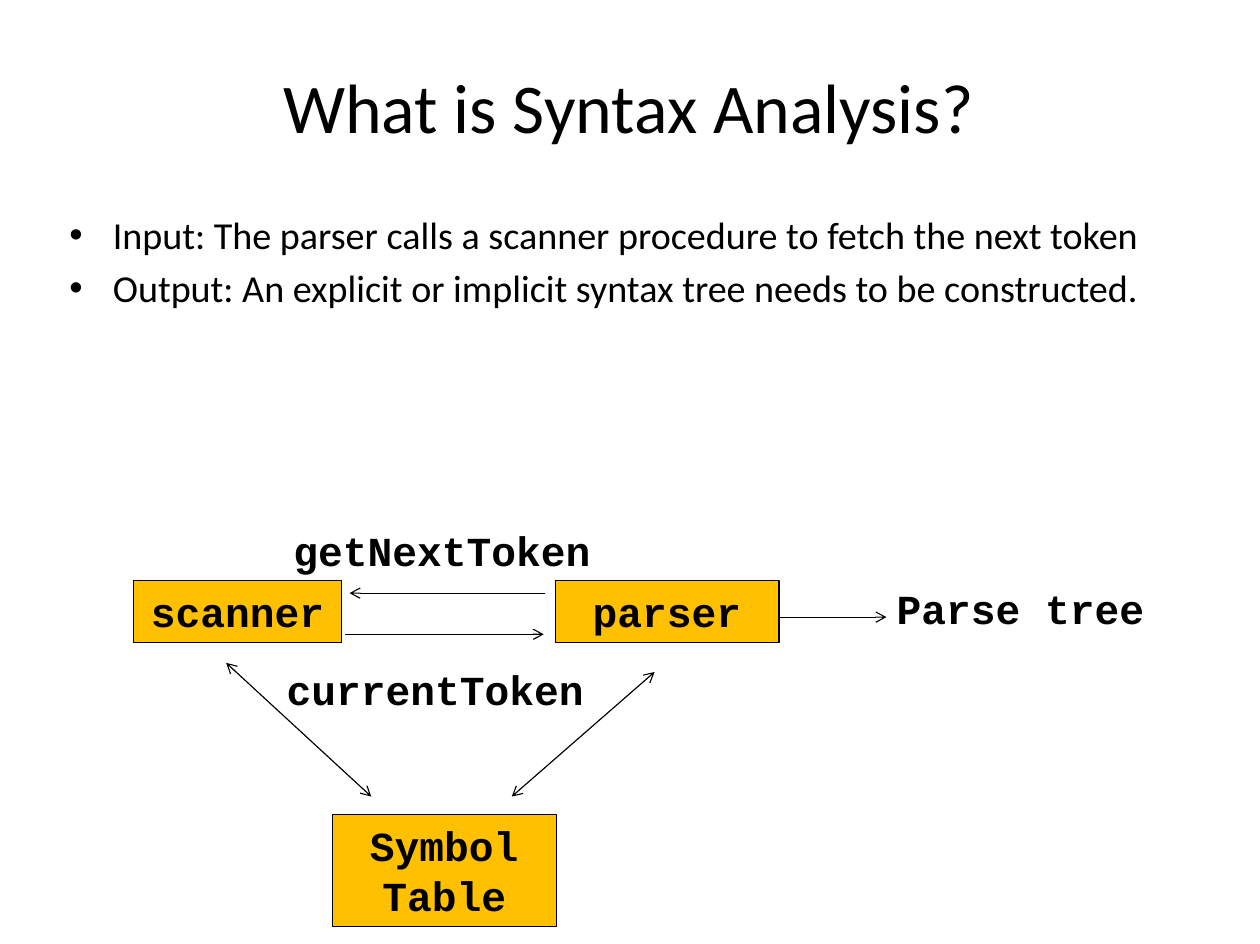
from lxml.etree import SubElement
from pptx import Presentation
from pptx.dml.color import RGBColor
from pptx.enum.shapes import MSO_CONNECTOR, MSO_SHAPE
from pptx.enum.text import MSO_ANCHOR, PP_ALIGN
from pptx.oxml.ns import qn
from pptx.util import Inches, Pt

COLORS = {"ink": "000000", "component": "FFC000", "background": "FFFFFF"}
TEXT_FONT = "Calibri"
CODE_FONT = "Courier New"

BULLETS = [
    "Input: The parser calls a scanner procedure to fetch the next token",
    "Output: An explicit or implicit syntax tree needs to be constructed.",
]
COMPONENTS = [
    ("scanner", 0, 0.53, 1.82, 0.54),
    ("parser", 3.69, 0.53, 1.96, 0.54),
    ("Symbol Table", 1.74, 2.58, 1.96, 0.98),
]
LABELS = [
    ("getNextToken", 1.3, 0, 3.1, 0.54),
    ("currentToken", 1.24, 1.21, 3.01, 0.55),
    ("Parse tree", 6.58, 0.5, 3.01, 0.55),
]
ARROWS = [
    (3.6, 0.64, 1.89, 0.64, ["tailEnd"]),
    (1.85, 1, 3.59, 1, ["tailEnd"]),
    (5.65, 0.85, 6.59, 0.85, ["tailEnd"]),
    (0.81, 1.25, 2.08, 2.42, ["headEnd", "tailEnd"]),
    (3.31, 2.42, 4.56, 1.33, ["headEnd", "tailEnd"]),
]


def color(name):
    return RGBColor.from_string(COLORS[name])


def add_text(paragraph, text, font_name, size, bold=False):
    run = paragraph.add_run()
    run.text = text
    run.font.name = font_name
    run.font.size = Pt(size)
    run.font.bold = bold
    run.font.color.rgb = color("ink")


def place_title(slide, left, top, width, height):
    title = slide.shapes.title
    title.left, title.top = Inches(left), Inches(top)
    title.width, title.height = Inches(width), Inches(height)
    title.text_frame.vertical_anchor = MSO_ANCHOR.MIDDLE
    heading = title.text_frame.paragraphs[0]
    heading.alignment = PP_ALIGN.CENTER
    add_text(heading, "What is Syntax Analysis?", TEXT_FONT, 44)


def add_bullets(slide, left, top, width, height):
    summary = slide.shapes.add_textbox(
        Inches(left), Inches(top), Inches(width), Inches(height)
    ).text_frame
    summary.word_wrap = True
    for index, statement in enumerate(BULLETS):
        bullet = summary.add_paragraph() if index else summary.paragraphs[0]
        bullet.space_before = Pt(4.8)
        properties = bullet._p.get_or_add_pPr()
        properties.set("marL", str(Inches(0.38)))
        properties.set("indent", str(Inches(-0.38)))
        SubElement(properties, qn("a:buFont"), typeface="Arial")
        SubElement(properties, qn("a:buChar"), char="•")
        add_text(bullet, statement, TEXT_FONT, 24)


def write_code(shape, text, alignment):
    frame = shape.text_frame
    frame.word_wrap = True
    frame.vertical_anchor = MSO_ANCHOR.TOP
    paragraph = frame.paragraphs[0]
    paragraph.alignment = alignment
    add_text(paragraph, text, CODE_FONT, 26, bold=True)


def add_component(slide, text, left, top, width, height):
    component = slide.shapes.add_shape(
        MSO_SHAPE.RECTANGLE, Inches(left), Inches(top), Inches(width), Inches(height)
    )
    component.shadow.inherit = False
    component.fill.solid()
    component.fill.fore_color.rgb = color("component")
    component.line.color.rgb = color("ink")
    component.line.width = Pt(0.75)
    write_code(component, text, PP_ALIGN.CENTER)


def add_label(slide, text, left, top, width, height):
    label = slide.shapes.add_textbox(
        Inches(left), Inches(top), Inches(width), Inches(height)
    )
    write_code(label, text, PP_ALIGN.LEFT)


def add_arrow(slide, start_x, start_y, end_x, end_y, heads):
    arrow = slide.shapes.add_connector(
        MSO_CONNECTOR.STRAIGHT,
        Inches(start_x), Inches(start_y), Inches(end_x), Inches(end_y),
    )
    arrow.line.color.rgb = color("ink")
    arrow.line.width = Pt(0.75)
    outline = arrow.line._get_or_add_ln()
    for head in heads:
        SubElement(outline, qn(f"a:{head}"), type="arrow")
    SubElement(arrow._element.spPr, qn("a:effectLst"))


def add_parser_diagram(slide, left, top):
    for text, x, y, width, height in COMPONENTS:
        add_component(slide, text, left + x, top + y, width, height)
    for text, x, y, width, height in LABELS:
        add_label(slide, text, left + x, top + y, width, height)
    for start_x, start_y, end_x, end_y, heads in ARROWS:
        add_arrow(
            slide, left + start_x, top + start_y, left + end_x, top + end_y, heads
        )


def main():
    presentation = Presentation()
    presentation.slide_width = Inches(11.03)
    presentation.slide_height = Inches(8.26)
    slide = presentation.slides.add_slide(presentation.slide_layouts[5])
    slide.background.fill.solid()
    slide.background.fill.fore_color.rgb = color("background")
    place_title(slide, 0.5, 0.3, 10.01, 1.25)
    add_bullets(slide, 0.51, 1.8, 10.01, 4.95)
    add_parser_diagram(slide, 1.17, 4.55)
    presentation.save("out.pptx")


if __name__ == "__main__":
    main()
